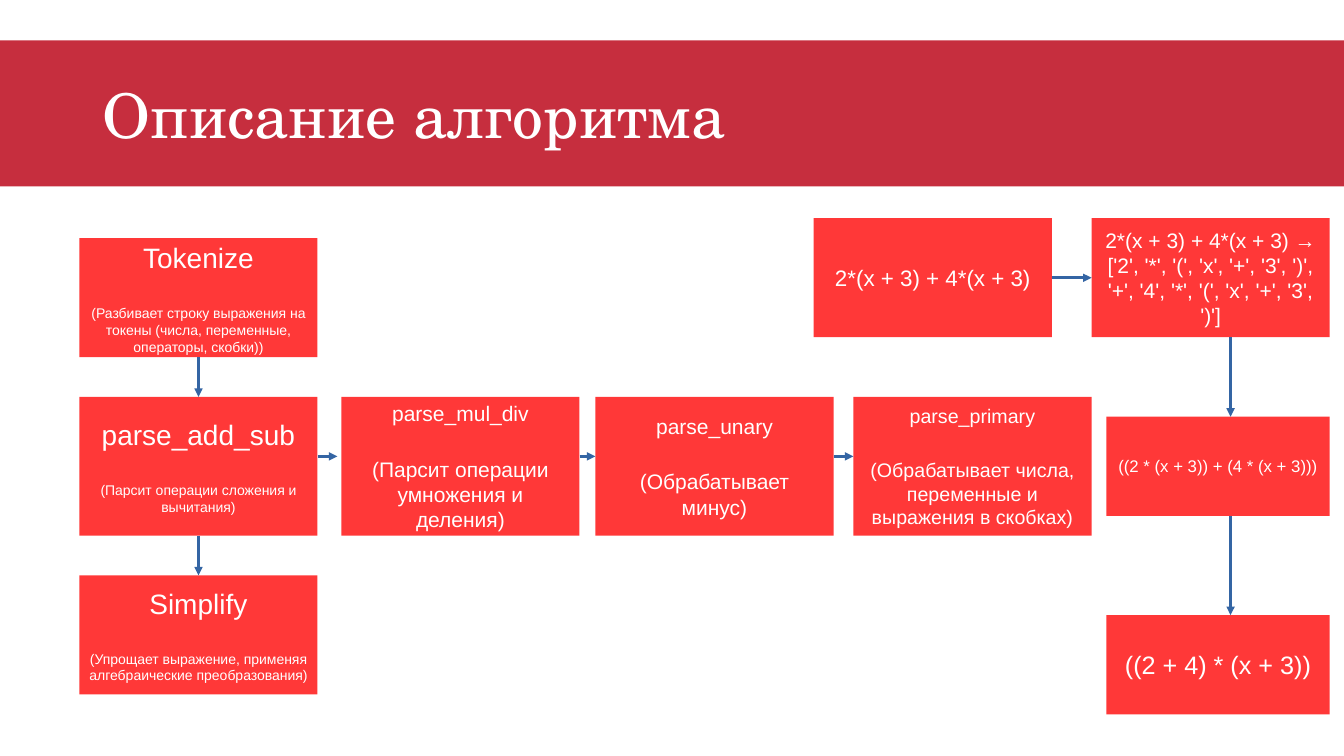
from lxml import etree
from pptx import Presentation
from pptx.dml.color import RGBColor
from pptx.enum.shapes import MSO_CONNECTOR, MSO_SHAPE
from pptx.enum.text import MSO_ANCHOR, PP_ALIGN
from pptx.oxml.ns import qn
from pptx.util import Cm, Inches, Pt

RECT = MSO_SHAPE.RECTANGLE
STRAIGHT = MSO_CONNECTOR.STRAIGHT
MIDDLE = MSO_ANCHOR.MIDDLE
LEFT, CENTER = PP_ALIGN.LEFT, PP_ALIGN.CENTER

BAND_RED = RGBColor(0xC6, 0x2E, 0x3E)
BOX_RED = RGBColor(0xFF, 0x38, 0x38)
ARROW_BLUE = RGBColor(0x34, 0x65, 0xA4)
WHITE = RGBColor(0xFF, 0xFF, 0xFF)

TOP, LEFT_SIDE, BOTTOM, RIGHT_SIDE = range(4)
BOX_W, BOX_H = 6, 3  # in cells of the one-centimetre grid
ROW_H = 3.5

STEPS = [
    (0, BOX_H, "Tokenize",
     "(Разбивает строку выражения на токены (числа, переменные, операторы, скобки))"),
    (4, ROW_H, "parse_add_sub", "(Парсит операции сложения и вычитания)"),
    (8.5, BOX_H, "Simplify",
     "(Упрощает выражение, применяя алгебраические преобразования)"),
]
PARSERS = [
    (6.6, 15, "parse_mul_div", "(Парсит операции умножения и деления)"),
    (13, 15, "parse_unary", "(Обрабатывает минус)"),
    (19.5, 14, "parse_primary",
     "(Обрабатывает числа, переменные и выражения в скобках)"),
]
TOKENS = ("2*(x + 3) + 4*(x + 3) → ['2', '*', '(', 'x', '+', '3', ')', "
          "'+', '4', '*', '(', 'x', '+', '3', ')']")


def write(tf, *lines, font="Arial", align=CENTER):
    """Write (text, size) pairs as paragraphs in the middle of the frame."""
    tf.word_wrap = True
    tf.vertical_anchor = MIDDLE
    for i, (text, size) in enumerate(lines):
        p = tf.add_paragraph() if i else tf.paragraphs[0]
        p.alignment = align
        if i:
            p.space_before = Pt(11.9)
        if i < len(lines) - 1:
            p.space_after = Pt(9.9)
        r = p.add_run()
        r.text = text
        r.font.name, r.font.size = font, Pt(size)
        r.font.color.rgb = WHITE


def add_rect(s, x, y, w, h, color):
    sp = s.shapes.add_shape(RECT, x, y, w, h)
    sp.shadow.inherit = False
    sp.fill.solid()
    sp.fill.fore_color.rgb = color
    sp.line.fill.background()
    return sp


def add_box(s, origin, x, y, w, h, *lines):
    """Add a red box at grid cells counted from the origin of its region."""
    sp = add_rect(s, Cm(origin[0] + x), Cm(origin[1] + y), Cm(w), Cm(h), BOX_RED)
    write(sp.text_frame, *lines)
    return sp


def add_arrow(s, origin, x1, y1, x2, y2):
    ox, oy = origin
    line = s.shapes.add_connector(STRAIGHT, Cm(ox + x1), Cm(oy + y1),
                                  Cm(ox + x2), Cm(oy + y2))
    line.line.color.rgb = ARROW_BLUE
    line.line.width = Pt(0)
    etree.SubElement(line.line._get_or_add_ln(), qn("a:tailEnd"), type="triangle")
    etree.SubElement(line._element.spPr, qn("a:effectLst"))
    return line


def join(s, a, a_side, b, b_side):
    """Add an arrow between the middles of two box sides."""
    line = add_arrow(s, (0, 0), 0, 0, 0, 0)
    line.begin_connect(a, a_side)
    line.end_connect(b, b_side)


def add_header(s, x, y, w, h):
    band = add_rect(s, x, y, w, h, BAND_RED)
    title = s.shapes.title
    title._element.addprevious(band._element)
    title.left, title.top = x + Inches(0.92), y
    title.width, title.height = Inches(11.5), h
    write(title.text_frame, ("Описание алгоритма", 44),
          font="TeX Gyre Schola", align=LEFT)


def add_pipeline(s, origin):
    """Draw the column of steps and the row of parsers beside the second step."""
    steps = [add_box(s, origin, 0, y, BOX_W, h, (name, 20), (note, 10))
             for y, h, name, note in STEPS]
    for upper, lower in zip(steps, steps[1:]):
        join(s, upper, BOTTOM, lower, TOP)

    row_y, arrow_y = STEPS[1][0], STEPS[1][0] + 1.5
    start = BOX_W
    for i, (x, size, name, note) in enumerate(PARSERS, 1):
        add_box(s, origin, x, row_y, BOX_W, ROW_H, (name, size), (note, size))
        add_arrow(s, origin, start, arrow_y, 6.5 * i, arrow_y)
        start = x + BOX_W


def add_example(s, origin):
    """Draw the worked example: expression, tokens, tree and result."""
    source = add_box(s, origin, 0, 0, BOX_W, BOX_H, ("2*(x + 3) + 4*(x + 3)", 16))
    tokens = add_box(s, origin, 7, 0, BOX_W, BOX_H, (TOKENS, 15))
    join(s, source, RIGHT_SIDE, tokens, LEFT_SIDE)

    bottom = BOX_H
    for y, text, size in [(5, "((2 * (x + 3)) + (4 * (x + 3)))", 12),
                          (10, "((2 + 4) * (x + 3))", 18)]:
        add_box(s, origin, 7.37, y, 5.63, 2.5, (text, size))
        add_arrow(s, origin, 10.5, bottom, 10.5, y)
        bottom = y + 2.5


def main():
    prs = Presentation()
    prs.slide_width, prs.slide_height = Inches(13.33), Inches(7.5)
    s = prs.slides.add_slide(prs.slide_layouts[5])
    add_header(s, 0, Inches(0.4), prs.slide_width, Inches(1.45))
    add_pipeline(s, (2, 6))
    add_example(s, (20.5, 5.5))
    prs.save("out.pptx")


if __name__ == "__main__":
    main()
